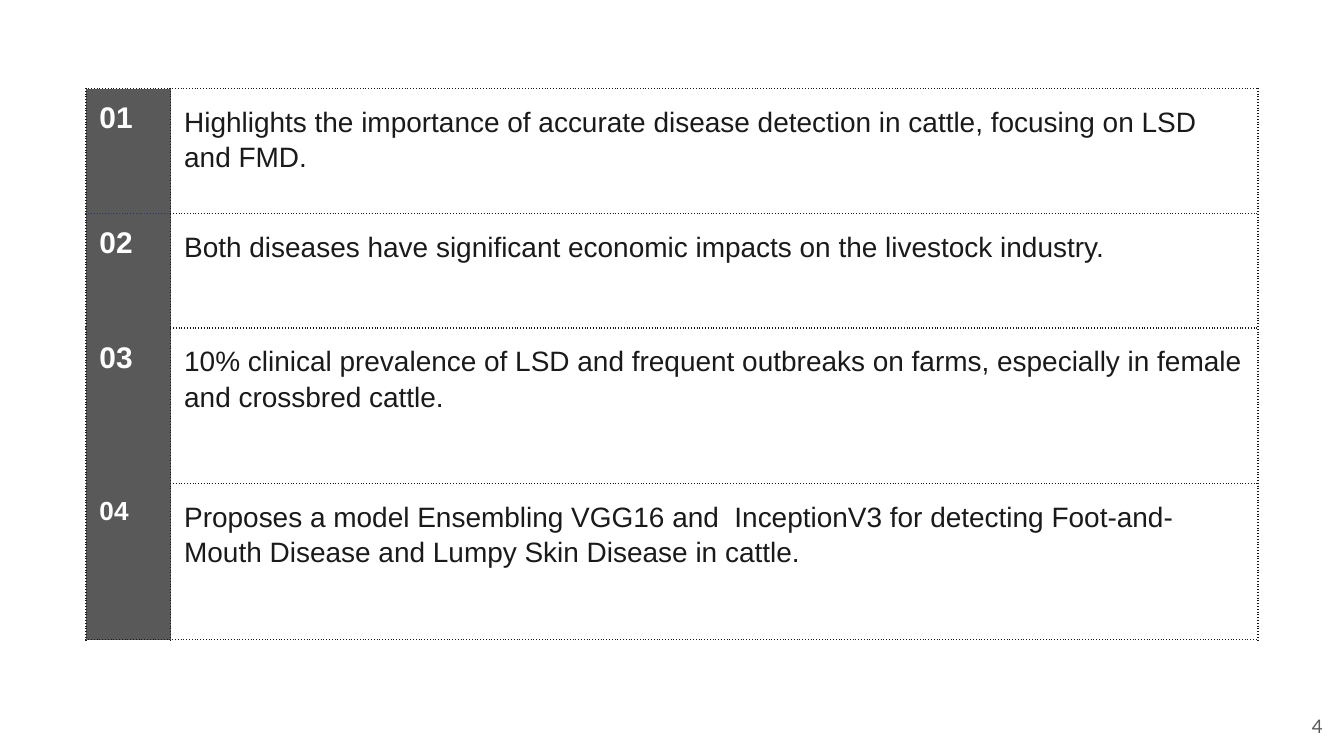
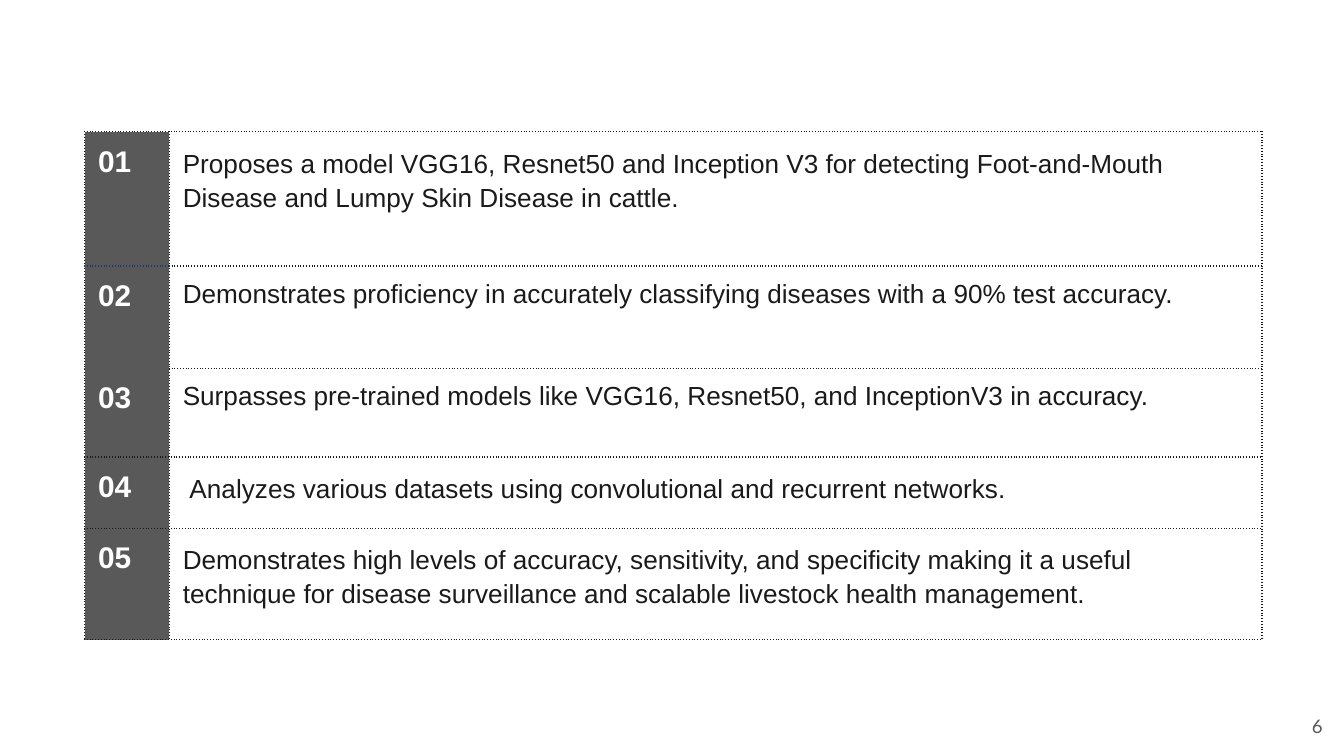
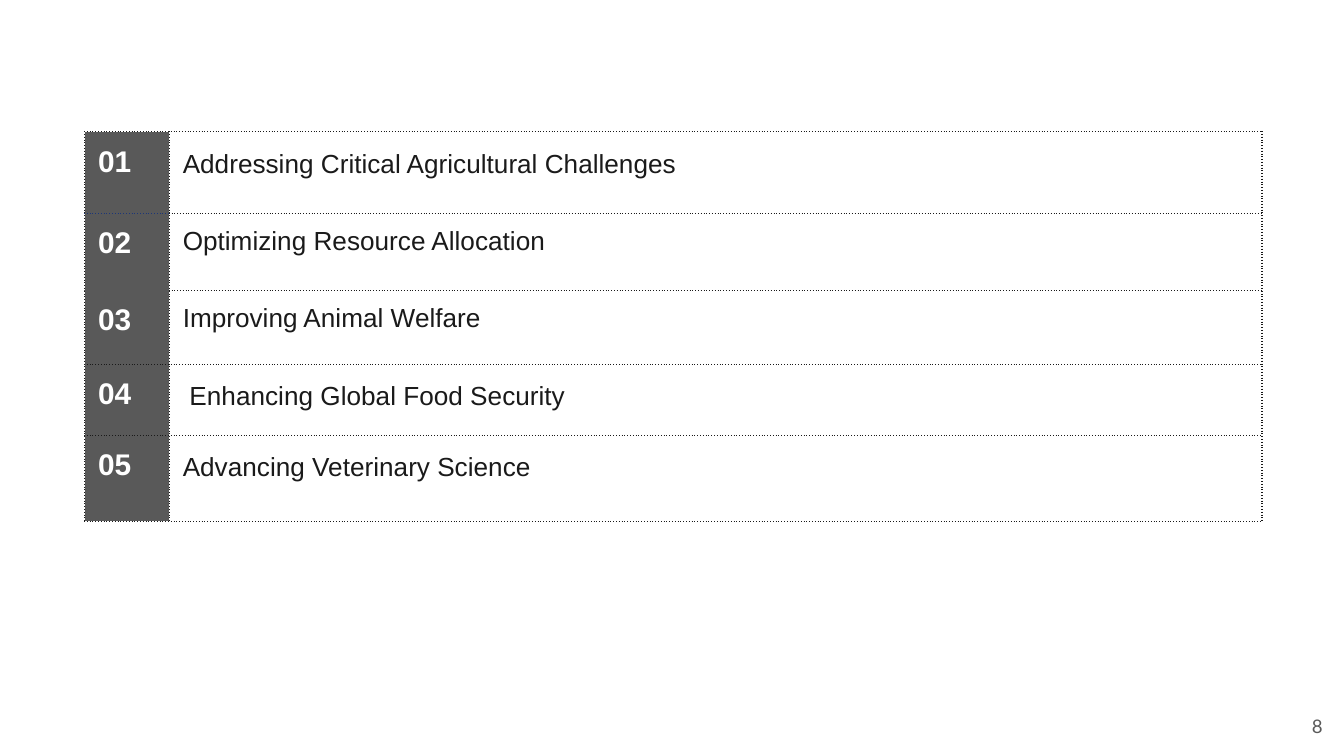
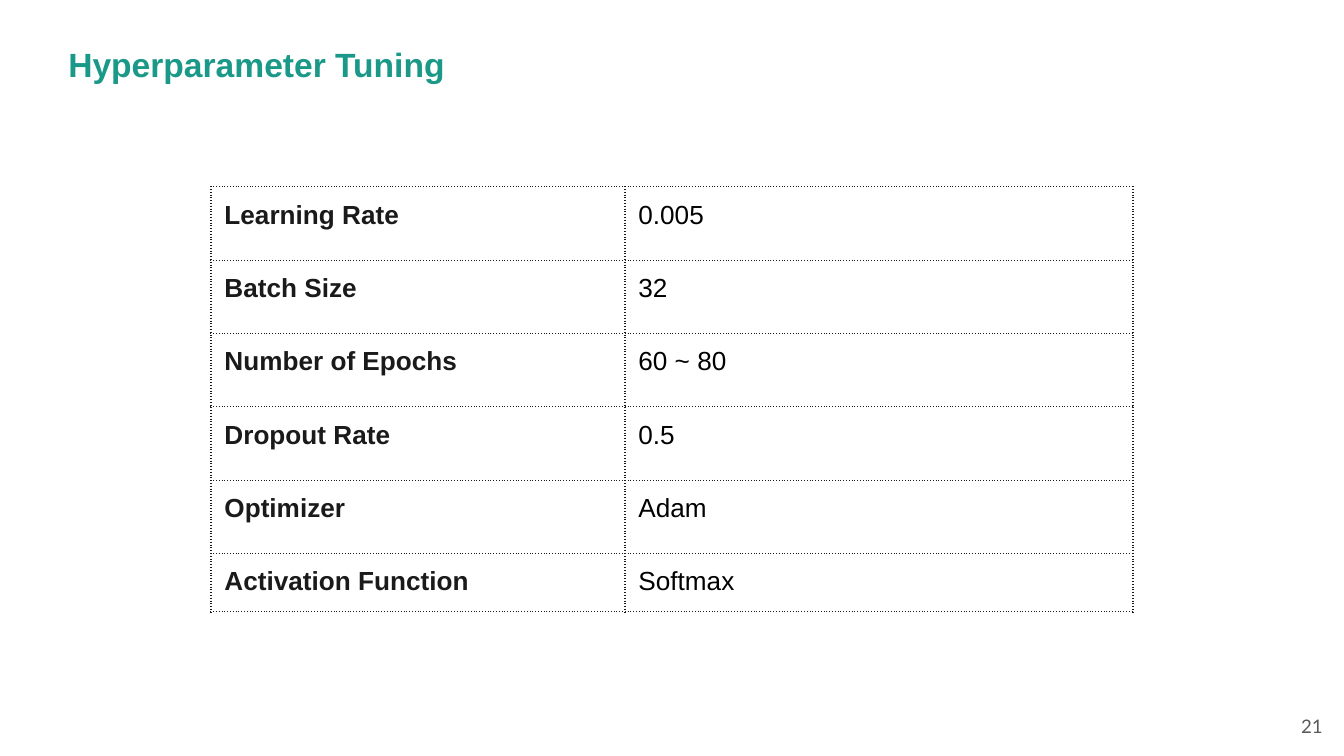
from dataclasses import dataclass
from typing import Any, Optional

from lxml import etree
from pptx import Presentation
from pptx.dml.color import RGBColor
from pptx.enum.text import MSO_ANCHOR, PP_ALIGN
from pptx.oxml.ns import qn
from pptx.util import Inches, Length, Pt

MIDDLE = MSO_ANCHOR.MIDDLE
TOP = MSO_ANCHOR.TOP
LEFT = PP_ALIGN.LEFT
RIGHT = PP_ALIGN.RIGHT
BLANK_LAYOUT = 6
SLIDE_WIDTH = Inches(10)
SLIDE_HEIGHT = Inches(10 * 9 / 16)


@dataclass(frozen=True)
class Theme:
    ink: str = "1A1A1A"
    black: str = "000000"
    white: str = "FFFFFF"
    gray: str = "595959"
    navy: str = "1C3678"
    teal: str = "1A9988"
    font: str = "Arial"
    page_font: str = "Lato"
    title_size: int = 18
    number_size: int = 16
    large_size: int = 15
    body_size: int = 14
    page_size: int = 10
    rule_width: Length = Pt(0.75)
    inset: Length = Inches(0.1)


THEME = Theme()


@dataclass(frozen=True)
class TextStyle:
    size: int
    color: str = THEME.ink
    bold: bool = False
    font: str = THEME.font


TITLE = TextStyle(THEME.title_size, THEME.teal, True)
PAGE = TextStyle(THEME.page_size, THEME.gray, font=THEME.page_font)
NUMBER = TextStyle(THEME.number_size, THEME.white, True)
SMALL_NUMBER = TextStyle(THEME.body_size, THEME.white, True)
LARGE_POINT = TextStyle(THEME.large_size)
POINT = TextStyle(THEME.body_size)
PARAMETER = TextStyle(THEME.body_size, bold=True)
VALUE = TextStyle(THEME.body_size, THEME.black)


@dataclass(frozen=True)
class Row:
    label: str
    text: str
    height: float
    rule_below: str = THEME.ink
    spacing: Optional[float] = 1.15
    indent: float = 0
    label_style: Optional[TextStyle] = None


@dataclass(frozen=True)
class Grid:
    left: float
    top: float
    columns: tuple[float, float]
    label_style: TextStyle
    text_style: TextStyle
    rows: list[Row]
    band: Optional[str] = THEME.gray


@dataclass(frozen=True)
class Page:
    number: int
    grid: Grid
    title: Optional[str] = None


def apply_format(target: Any, values: dict[str, Any]) -> None:
    for name, value in values.items():
        setattr(target, name, value)


def insets(indent: float = 0) -> dict[str, Length]:
    margins = {f"margin_{side}": THEME.inset for side in ("left", "top", "right", "bottom")}
    margins["margin_left"] = THEME.inset + Inches(indent)
    return margins


def write_text(frame: Any, text: str, style: TextStyle, **paragraph_format: Any) -> None:
    paragraph = frame.paragraphs[0]
    apply_format(paragraph, paragraph_format)
    run = paragraph.add_run()
    run.text = text
    apply_format(run.font, {"name": style.font, "size": Pt(style.size), "bold": style.bold})
    run.font.color.rgb = RGBColor.from_string(style.color)


def add_text(slide: Any, box: tuple[float, float, float, float], text: str, style: TextStyle,
             anchor: Any = TOP, alignment: Any = LEFT) -> None:
    frame = slide.shapes.add_textbox(*map(Inches, box)).text_frame
    apply_format(frame, {"word_wrap": True, "vertical_anchor": anchor, **insets()})
    write_text(frame, text, style, alignment=alignment)


def add_rules(cell: Any, above: str, below: str) -> None:
    properties = cell._tc.get_or_add_tcPr()
    for side, color in (("L", THEME.ink), ("R", THEME.ink), ("T", above), ("B", below)):
        line = etree.SubElement(properties, qn(f"a:ln{side}"), w=str(THEME.rule_width))
        fill = etree.SubElement(line, qn("a:solidFill"))
        etree.SubElement(fill, qn("a:srgbClr"), val=color)
        etree.SubElement(line, qn("a:prstDash"), val="dot")


def fill_cell(cell: Any, text: str, style: TextStyle, rules: tuple[str, str],
              band: Optional[str] = None, spacing: Optional[float] = None,
              indent: float = 0) -> None:
    apply_format(cell, insets(indent))
    add_rules(cell, *rules)
    if band:
        cell.fill.solid()
        cell.fill.fore_color.rgb = RGBColor.from_string(band)
    else:
        cell.fill.background()
    write_text(cell.text_frame, text, style, line_spacing=spacing)


def add_grid(slide: Any, grid: Grid) -> None:
    width = sum(grid.columns)
    height = sum(row.height for row in grid.rows)
    table = slide.shapes.add_table(
        len(grid.rows), len(grid.columns),
        Inches(grid.left), Inches(grid.top), Inches(width), Inches(height),
    ).table
    apply_format(table, {"first_row": False, "horz_banding": False})
    for column, column_width in zip(table.columns, grid.columns):
        column.width = Inches(column_width)
    rule_above = THEME.ink
    for index, row in enumerate(grid.rows):
        table.rows[index].height = Inches(row.height)
        fill_cell(table.cell(index, 0), row.label, row.label_style or grid.label_style,
                  (rule_above, row.rule_below), grid.band)
        fill_cell(table.cell(index, 1), row.text, grid.text_style,
                  (THEME.ink, THEME.ink), spacing=row.spacing, indent=row.indent)
        rule_above = row.rule_below


def add_page(deck: Any, page: Page) -> None:
    slide = deck.slides.add_slide(deck.slide_layouts[BLANK_LAYOUT])
    add_text(slide, (9.34, 5.19, 0.6, 0.43), str(page.number), PAGE, MIDDLE, RIGHT)
    if page.title:
        add_text(slide, (0.41, 0.23, 5.41, 0.5), page.title, TITLE)
    add_grid(slide, page.grid)


IMPORTANCE = Grid(0.64, 0.66, (0.63, 8.09), NUMBER, LARGE_POINT, [
    Row("01", "Highlights the importance of accurate disease detection in cattle, "
        "focusing on LSD and FMD.", 0.93, THEME.navy),
    Row("02", "Both diseases have significant economic impacts on the livestock industry.",
        0.85, THEME.gray),
    Row("03", "10% clinical prevalence of LSD and frequent outbreaks on farms, "
        "especially in female and crossbred cattle.", 1.16, THEME.gray),
    Row("04", "Proposes a model Ensembling VGG16 and  InceptionV3 for detecting "
        "Foot-and-Mouth Disease and Lumpy Skin Disease in cattle.", 1.16,
        label_style=SMALL_NUMBER),
])

FINDINGS = Grid(0.63, 0.98, (0.63, 8.13), NUMBER, POINT, [
    Row("01", "Proposes a model VGG16, Resnet50 and Inception V3 for detecting "
        "Foot-and-Mouth Disease and Lumpy Skin Disease in cattle.", 1, THEME.navy),
    Row("02", "Demonstrates proficiency in accurately classifying diseases with a "
        "90% test accuracy.", 0.76, THEME.gray, None),
    Row("03", "Surpasses pre-trained models like VGG16, Resnet50, and InceptionV3 "
        "in accuracy.", 0.66, spacing=None),
    Row("04", "Analyzes various datasets using convolutional and recurrent networks.",
        0.53, indent=0.05),
    Row("05", "Demonstrates high levels of accuracy, sensitivity, and specificity making "
        "it a useful technique for disease surveillance and scalable livestock health "
        "management.", 0.83),
])

BENEFITS = Grid(0.63, 0.98, (0.63, 8.13), NUMBER, POINT, [
    Row("01", "Addressing Critical Agricultural Challenges", 0.61, THEME.navy),
    Row("02", "Optimizing Resource Allocation", 0.57, THEME.gray, None),
    Row("03", "Improving Animal Welfare", 0.55, spacing=None),
    Row("04", "Enhancing Global Food Security", 0.53, indent=0.05),
    Row("05", "Advancing Veterinary Science", 0.64),
])

HYPERPARAMETERS = Grid(1.57, 1.39, (3.08, 3.78), PARAMETER, VALUE, [
    *(Row(parameter, value, 2.73 / 5, spacing=None) for parameter, value in (
        ("Learning Rate", "0.005"),
        ("Batch Size", "32"),
        ("Number of Epochs", "60 ~ 80"),
        ("Dropout Rate", "0.5"),
        ("Optimizer", "Adam"),
    )),
    Row("Activation Function", "Softmax", 0.43, spacing=None),
], band=None)

PAGES = [
    Page(4, IMPORTANCE),
    Page(6, FINDINGS),
    Page(8, BENEFITS),
    Page(21, HYPERPARAMETERS, "Hyperparameter Tuning"),
]


def main() -> None:
    deck = Presentation()
    apply_format(deck, {"slide_width": SLIDE_WIDTH, "slide_height": SLIDE_HEIGHT})
    for page in PAGES:
        add_page(deck, page)
    deck.save("out.pptx")


if __name__ == "__main__":
    main()
